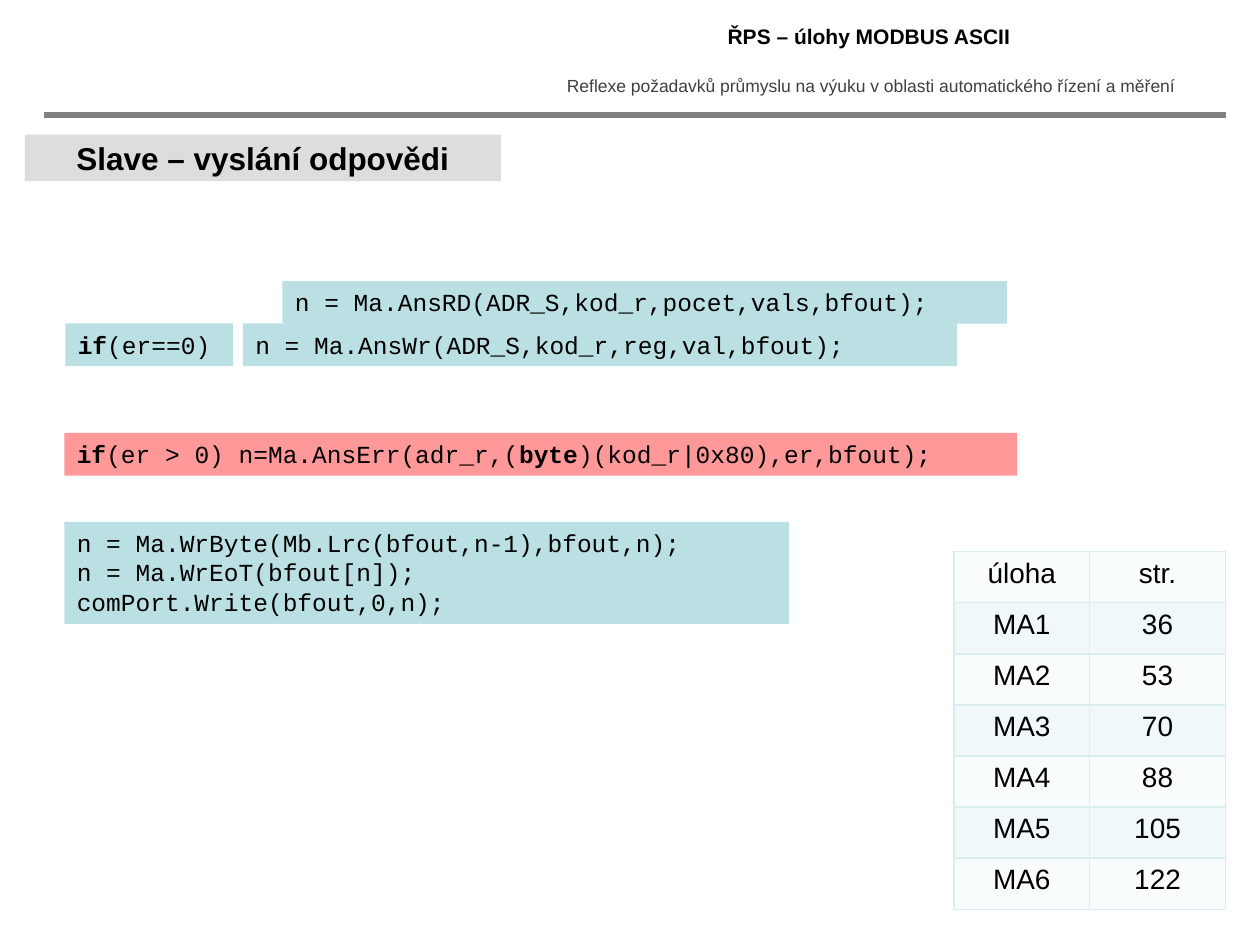
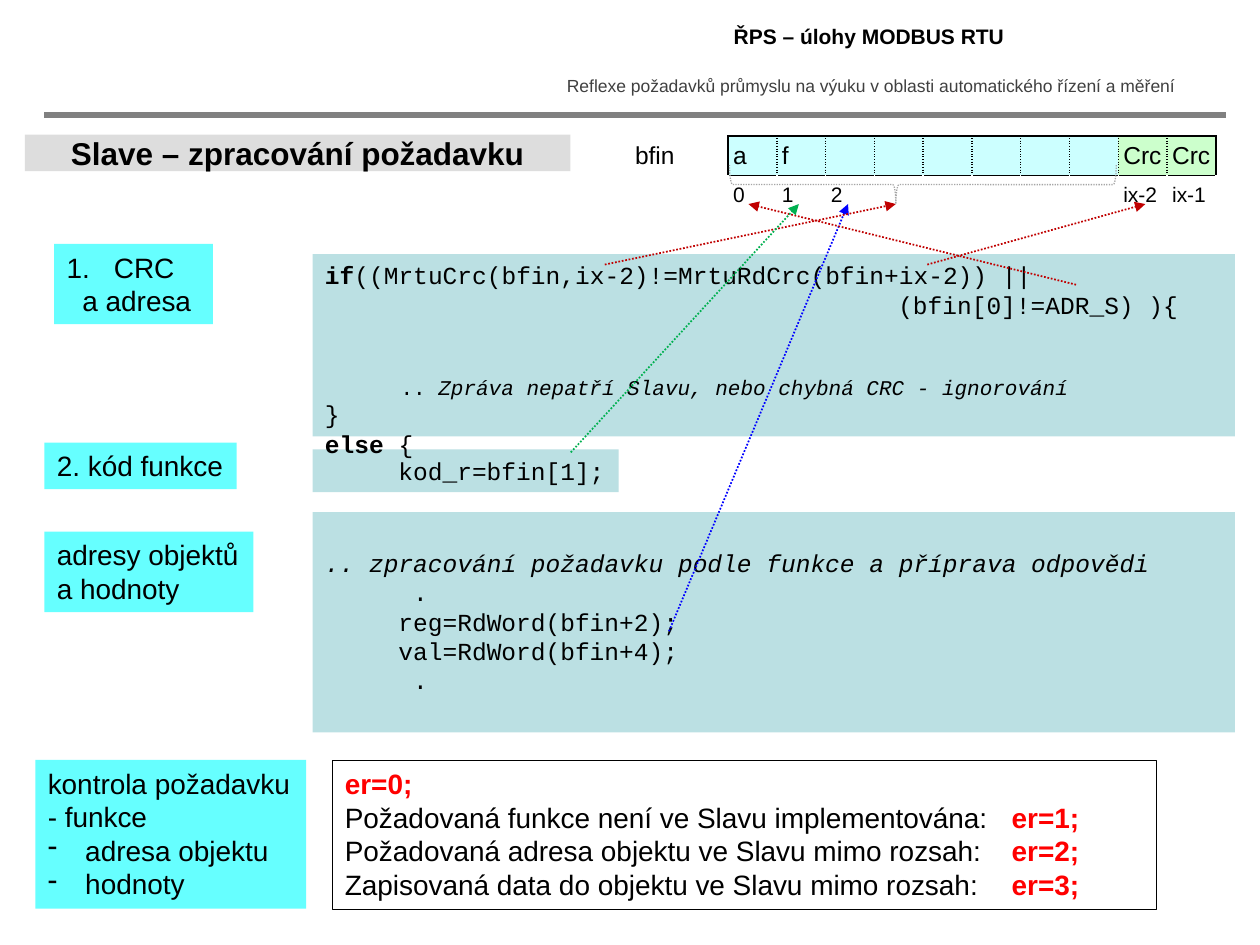
from dataclasses import dataclass
from lxml.etree import SubElement
from pptx import Presentation
from pptx.dml.color import RGBColor
from pptx.enum.dml import MSO_LINE
from pptx.enum.shapes import MSO_CONNECTOR, MSO_SHAPE
from pptx.enum.text import MSO_ANCHOR, PP_ALIGN
from pptx.oxml.ns import qn
from pptx.util import Pt

COLORS = {
    "black": "000000", "gray": "404040", "rule": "808080", "title": "DDDDDD",
    "code": "BBE0E3", "error": "FF9999", "label": "66FFFF", "red": "FF0000",
    "grid": "DAEDEF", "even": "F8FCFC", "odd": "F1F8F9", "data": "CCFFFF",
    "crc": "CCFFCC", "blue": "0000FF", "wine": "C00000", "green": "00B050",
    "brace": "A6A6A6",
}
SANS, MONO = "Arial", "Courier New"
CHAR = 8.4


@dataclass
class Line:
    text: object
    left: float = 0
    hang: float = 0
    mark: str = ""
    before: float = 0
    size: float = 0
    tab: float = 0


def color(name):
    return RGBColor.from_string(COLORS[name])


def place(shape, box):
    shape.left, shape.top, shape.width, shape.height = (Pt(n) for n in box)


def style(font, name, size, tint="black", bold=False):
    font.name, font.size, font.bold = name, Pt(size), bold
    font.color.rgb = color(tint)


def indent(para, line):
    props = para._p.get_or_add_pPr()
    if line.left:
        props.set("marL", str(Pt(line.left)))
        props.set("indent", str(Pt(-line.hang)))
    if line.mark == "1":
        SubElement(props, qn("a:buAutoNum"), type="arabicPeriod")
    elif line.mark:
        SubElement(props, qn("a:buChar"), char=line.mark)
    if line.tab:
        tabs = SubElement(props, qn("a:tabLst"))
        SubElement(tabs, qn("a:tab"), pos=str(Pt(line.tab)), algn="l")


def write(frame, lines, name, size, tint="black", bold=False, align=PP_ALIGN.LEFT):
    frame.word_wrap = True
    for num, line in enumerate(lines):
        if isinstance(line, (str, list)):
            line = Line(line)
        para = frame.add_paragraph() if num else frame.paragraphs[0]
        para.alignment = align
        if line.before:
            para.space_before = Pt(line.before)
        indent(para, line)
        style(para.font, name, line.size or size, tint, bold)
        parts = [(line.text, "")] if isinstance(line.text, str) else line.text
        for text, marks in parts:
            run = para.add_run()
            run.text = text
            if "b" in marks:
                run.font.bold = True
            if "i" in marks:
                run.font.italic = True
            if "r" in marks:
                run.font.color.rgb = color("red")


def panel(slide, box, lines, fill=None, name=SANS, size=16, top=3.6):
    shape = slide.shapes.add_shape(MSO_SHAPE.RECTANGLE, *(Pt(n) for n in box))
    shape.shadow.inherit = False
    if fill:
        shape.fill.solid()
        shape.fill.fore_color.rgb = color(fill)
        shape.line.fill.background()
    else:
        shape.fill.background()
        shape.line.color.rgb = color("black")
        shape.line.width = Pt(0.75)
    frame = shape.text_frame
    frame.vertical_anchor = MSO_ANCHOR.TOP
    frame.margin_top, frame.margin_right = Pt(top), 0
    write(frame, lines, name, size)


def code(slide, box, lines, fill="code", top=3.6):
    panel(slide, box, lines, fill, MONO, 14, top)


def link(slide, start, end, tint, width=1, arrow=True):
    line = slide.shapes.add_connector(
        MSO_CONNECTOR.STRAIGHT, *(Pt(n) for n in (*start, *end)))
    line.line.color.rgb = color(tint)
    line.line.width = Pt(width)
    if arrow:
        line.line.dash_style = MSO_LINE.ROUND_DOT
        SubElement(line.line._get_or_add_ln(), qn("a:tailEnd"), type="triangle")
    SubElement(line._element.spPr, qn("a:effectLst"))


def caption(slide, box, text, size, tint, bold):
    frame = slide.shapes.add_textbox(*(Pt(n) for n in box)).text_frame
    write(frame, [text], SANS, size, tint, bold, PP_ALIGN.CENTER)


def page(deck, head, title, box):
    slide = deck.slides.add_slide(deck.slide_layouts[5])
    caption(slide, (309.6, 39.6, 375.8, 19.4),
            "Reflexe požadavků průmyslu na výuku v oblasti automatického řízení a měření",
            10, "gray", False)
    caption(slide, (309.6, 10, 374, 22), head, 12, "black", True)
    link(slide, (25.4, 65.7), (700.4, 65.7), "rule", 3, False)
    shape = slide.shapes.title
    place(shape, box)
    shape.fill.solid()
    shape.fill.fore_color.rgb = color("title")
    frame = shape.text_frame
    frame.vertical_anchor = MSO_ANCHOR.MIDDLE
    frame.margin_top = frame.margin_bottom = 0
    write(frame, [title], SANS, 18, bold=True, align=PP_ALIGN.CENTER)
    return slide


def border(cell, sides):
    props = cell._tc.get_or_add_tcPr()
    for side in "LRTB":
        if side in sides:
            tint, dash = sides[side]
            line = SubElement(props, qn("a:ln" + side), w=str(Pt(1)))
            fill = SubElement(line, qn("a:solidFill"))
            SubElement(fill, qn("a:srgbClr"), val=COLORS[tint])
            SubElement(line, qn("a:prstDash"), val=dash)


def paint(cell, fill):
    if fill:
        cell.fill.solid()
        cell.fill.fore_color.rgb = color(fill)
    else:
        cell.fill.background()


def grid(slide, box, wide, high):
    frame = slide.shapes.add_table(len(high), len(wide), *(Pt(n) for n in box))
    table = frame.table
    table.first_row = table.horz_banding = False
    for col, size in zip(table.columns, wide):
        col.width = Pt(size)
    for row, size in zip(table.rows, high):
        row.height = Pt(size)
    return table


def tasks(slide, box):
    pages = (36, 53, 70, 88, 105, 122)
    rows = [("úloha", "str.")]
    rows += [(f"MA{num}", str(val)) for num, val in enumerate(pages, 1)]
    table = grid(slide, box, [box[2] / 2] * 2, [box[3] / len(rows)] * len(rows))
    for r, row in enumerate(rows):
        for c, text in enumerate(row):
            cell = table.cell(r, c)
            border(cell, dict.fromkeys("LRTB", ("grid", "solid")))
            paint(cell, "odd" if r % 2 else "even")
            write(cell.text_frame, [text], SANS, 16, align=PP_ALIGN.CENTER)


def buffer(slide, box):
    cell_w = 27.87
    last = 10
    rows = (
        {0: "bfin", 1: "a", 2: "f", 9: "Crc", 10: "Crc"},
        {1: "0", 2: "1", 3: "2", 9: "ix-2", 10: "ix-1"},
    )
    table = grid(slide, box, [box[2] - last * cell_w] + [cell_w] * last, (22.6, 22))
    solid, dots = ("black", "solid"), ("black", "sysDot")
    for r, row in enumerate(rows):
        for c in range(last + 1):
            cell = table.cell(r, c)
            cell.margin_left = cell.margin_right = Pt(2.9)
            cell.margin_top = cell.margin_bottom = Pt(2)
            cell.vertical_anchor = MSO_ANCHOR.MIDDLE
            fill = None
            if r == 0 and c == 0:
                border(cell, {"R": solid})
            elif r == 0:
                border(cell, {"L": solid if c == 1 else dots,
                              "R": solid if c == last else dots,
                              "T": solid, "B": solid})
                fill = "crc" if c > 8 else "data"
            elif c:
                border(cell, {"T": solid})
            paint(cell, fill)
            if c in row:
                write(cell.text_frame, [row[c]], SANS, 12 if r else 14)
            else:
                para = cell.text_frame.paragraphs[0]
                SubElement(para._p, qn("a:endParaRPr"), sz="1200")


def brace(slide, box):
    shape = slide.shapes.add_shape(MSO_SHAPE.RIGHT_BRACE, *(Pt(n) for n in box))
    shape.shadow.inherit = False
    shape.rotation = 90
    shape.adjustments[0], shape.adjustments[1] = 0.08, 0.57
    shape.fill.background()
    shape.line.color.rgb = color("brace")
    shape.line.width = Pt(0.75)
    shape.line.dash_style = MSO_LINE.ROUND_DOT


def reply(deck):
    slide = page(deck, "ŘPS – úlohy MODBUS ASCII", "Slave – vyslání odpovědi",
                 (14.2, 77, 272, 26.6))
    code(slide, (36.8, 247.4, 544.4, 24.4), [[
        ("if", "b"), ("(er > 0) n=Ma.AnsErr(adr_r,(", ""), ("byte", "b"),
        (")(kod_r|0x80),er,bfout);", "")]], "error")
    code(slide, (36.8, 298.2, 414, 58.4), [
        "n = Ma.WrByte(Mb.Lrc(bfout,n-1),bfout,n);",
        "n = Ma.WrEoT(bfout[n]);",
        "comPort.Write(bfout,0,n);"])
    code(slide, (138.8, 184.8, 408.2, 24.4),
         ["n = Ma.AnsWr(ADR_S,kod_r,reg,val,bfout);"])
    code(slide, (37.4, 184.8, 95.8, 24.4), [[("if", "b"), ("(er==0)", "")]])
    code(slide, (161.4, 160.6, 414, 24.4),
         ["n = Ma.AnsRD(ADR_S,kod_r,pocet,vals,bfout);"])
    tasks(slide, (545.2, 315.2, 155, 204.4))


def request(deck):
    slide = page(deck, "ŘPS – úlohy MODBUS RTU", "Slave – zpracování požadavku",
                 (14.2, 77, 311.8, 20.9))
    panel(slide, (31, 139.4, 90.7, 45.8),
          [Line("CRC", 27, 27, "1"), Line("a adresa", 9)], "label")
    panel(slide, (25.4, 253, 109.8, 26.6), ["2. kód funkce"], "label")
    code(slide, (178.6, 256.8, 175, 24.4), [Line("kod_r=bfin[1];", 5 * CHAR)])
    code(slide, (178.6, 292.6, 527, 126), [
        [(".. zpracování požadavku podle funkce a příprava odpovědi", "i")],
        Line(".", 6 * CHAR),
        Line("reg=RdWord(bfin+2);", 5 * CHAR),
        Line("val=RdWord(bfin+4);", 5 * CHAR),
        Line(".", 6 * CHAR)], top=20.4)
    code(slide, (178.6, 145.2, 527, 104.2), [
        [("if", "b"), ("((MrtuCrc(bfin,ix-2)!=MrtuRdCrc(bfin+ix-2)) ||", "")],
        Line("(bfin[0]!=ADR_S) ){", 39 * CHAR),
        Line([(".. ", ""),
              ("Zpráva nepatří Slavu, nebo chybná CRC - ignorování", "i")],
             43.2, before=31.5, size=12),
        "}",
        [("else ", "b"), ("{", "")]])
    buffer(slide, (360, 77.8, 334.8, 44.6))
    tip = 116.6
    for start, end, tint in (
        ((382.3, 360.7), 484.6, "blue"), ((614.9, 162.7), 427.7, "wine"),
        ((345.6, 151.2), 511.9, "wine"), ((529.9, 151.2), 654.5, "wine"),
        ((326.2, 258.5), 456.5, "green"),
    ):
        link(slide, start, (end, tip), tint)
    panel(slide, (25.4, 303.8, 119.5, 46), ["adresy objektů", "a hodnoty"], "label")
    faults = (
        "Požadovaná funkce není ve Slavu implementována:",
        "Požadovaná adresa objektu ve Slavu mimo rozsah:",
        "Zapisovaná data do objektu ve Slavu mimo rozsah:",
    )
    panel(slide, (190, 434.6, 470.9, 85), [[("er=0;", "br")]] + [
        Line([(text + "\t", ""), (f"er={num};", "br")], tab=381)
        for num, text in enumerate(faults, 1)])
    panel(slide, (20.2, 434.2, 154.8, 85), [
        "kontrola požadavku", "- funkce",
        Line("adresa objektu", 21.4, 21.4, "-"),
        Line("hodnoty", 21.4, 21.4, "-")], "label")
    brace(slide, (516.2, -5, 22.3, 221))


def main():
    deck = Presentation()
    deck.slide_width, deck.slide_height = Pt(720), Pt(540)
    reply(deck)
    request(deck)
    deck.save("out.pptx")


if __name__ == "__main__":
    main()
